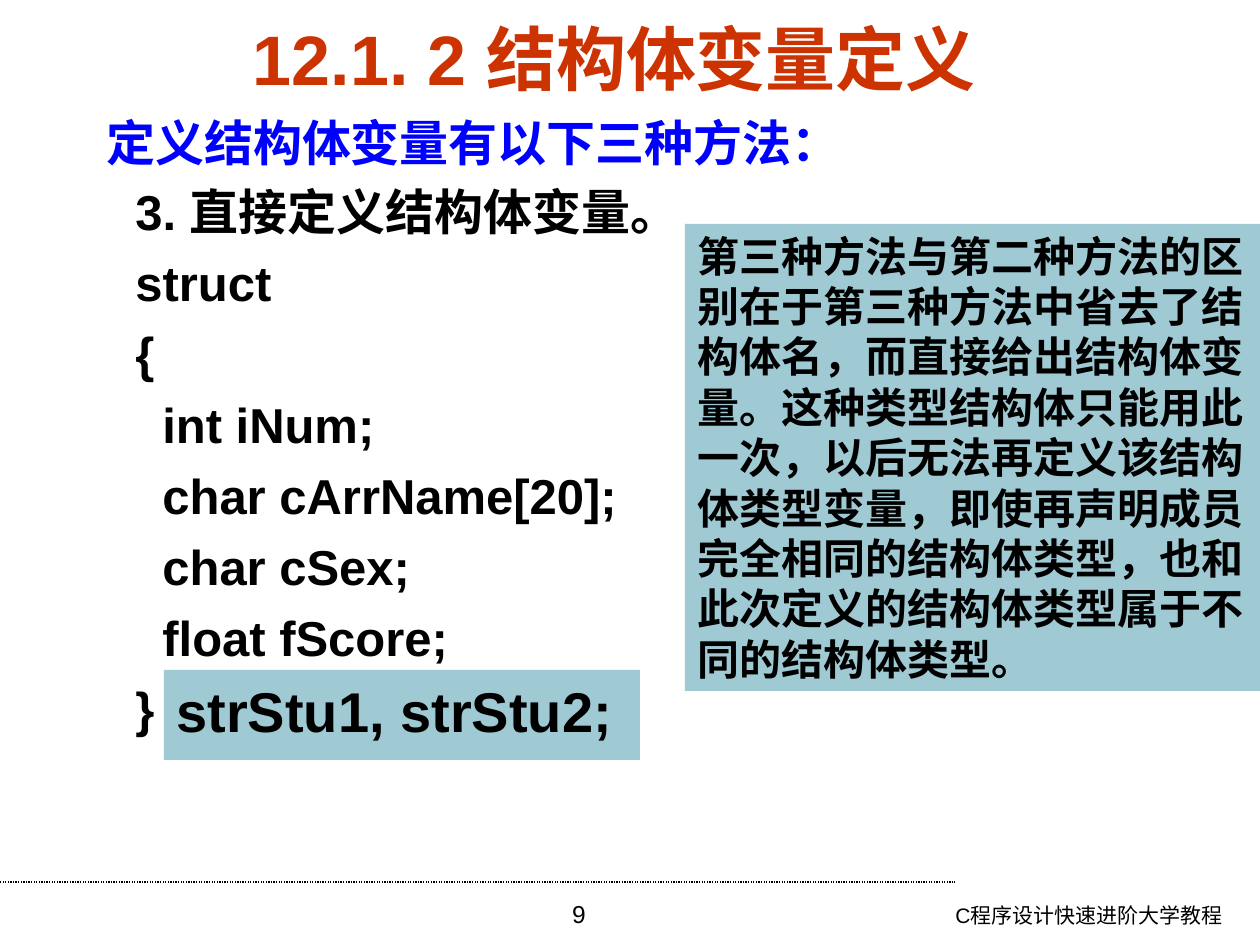
from lxml import etree
from pptx import Presentation
from pptx import util as u
from pptx.dml.color import RGBColor
from pptx.enum import dml, shapes, text
from pptx.oxml import ns

PX = 914400 // 126
FONT = "Arial"
LINE_RATIO = 1.2
HANGING = 84
MEMBER_INDENT = 27
COLORS = {"black": "000000", "title": "CC3300", "lead": "0000FF", "panel": "9FCAD3"}

CODE = [
    ("3. 直接定义结构体变量。", 0),
    ("struct", 0),
    ("{", 0),
    ("int iNum;", 1),
    ("char cArrName[20];", 1),
    ("char cSex;", 1),
    ("float fScore;", 1),
    ("}", 0),
]
NOTE = (
    "第三种方法与第二种方法的区别在于第三种方法中省去了结构体名，而直接给出结构体变量。"
    "这种类型结构体只能用此一次，以后无法再定义该结构体类型变量，"
    "即使再声明成员完全相同的结构体类型，也和此次定义的结构体类型属于不同的结构体类型。"
)
RULE = (0, 882, 955, 882)
BLOCKS = [
    {"box": (828, 896, 407, 49), "lines": [("C程序设计快速进阶大学教程", 0)],
     "size": 12, "bold": False, "align": "RIGHT"},
    {"box": (432, 893, 294, 52), "lines": [("9", 0)],
     "size": 14, "bold": False, "align": "CENTER"},
    {"box": (54, 26, 1140, 63), "lines": [("12.1. 2 结构体变量定义 ", 0)],
     "size": 40, "color": "title", "align": "CENTER", "anchor": "MIDDLE"},
    {"box": (123, 175, 1070, 576), "lines": CODE, "size": 28, "before": 7, "hanging": HANGING},
    {"box": (164, 670, 476, 90), "lines": [("strStu1, strStu2;", 0)],
     "size": 32, "fill": "panel", "hanging": HANGING},
    {"box": (94, 106, 833, 89), "lines": [("定义结构体变量有以下三种方法：", 0)],
     "size": 28, "color": "lead", "before": 7, "hanging": HANGING},
    {"box": (685, 224, 575, 467), "lines": [(NOTE, 0)], "size": 24, "fill": "panel"},
]


def rgb(name):
    return RGBColor.from_string(COLORS[name])


def add_rule(s):
    line = s.shapes.add_connector(shapes.MSO_CONNECTOR.STRAIGHT, *(v * PX for v in RULE))
    line.line.color.rgb = rgb("black")
    line.line.width = u.Pt(0.75)
    line.line.dash_style = dml.MSO_LINE.ROUND_DOT
    etree.SubElement(line._element.spPr, ns.qn("a:effectLst"))


def add_paragraph(p, words, level, block):
    formats = {
        "alignment": getattr(text.PP_ALIGN, block.get("align", "LEFT")),
        "space_before": u.Pt(block.get("before", 0)),
        "line_spacing": u.Pt(block["size"] * LINE_RATIO),
    }
    for name, value in formats.items():
        setattr(p, name, value)
    hanging = block.get("hanging", 0)
    pPr = p._p.get_or_add_pPr()
    pPr.set("marL", str((hanging + level * MEMBER_INDENT) * PX))
    pPr.set("indent", str(-hanging * PX))
    r = p.add_run()
    r.text = words
    font = {"name": FONT, "size": u.Pt(block["size"]), "bold": block.get("bold", True)}
    for name, value in font.items():
        setattr(r.font, name, value)
    r.font.color.rgb = rgb(block.get("color", "black"))
    etree.SubElement(r._r.get_or_add_rPr(), ns.qn("a:ea"), typeface=FONT)


def add_block(s, block):
    box = [v * PX for v in block["box"]]
    if "fill" in block:
        sp = s.shapes.add_shape(shapes.MSO_SHAPE.RECTANGLE, *box)
        sp.shadow.inherit = False
        sp.fill.solid()
        sp.fill.fore_color.rgb = rgb(block["fill"])
        sp.line.fill.background()
    else:
        sp = s.shapes.add_textbox(*box)
    tf = sp.text_frame
    tf.word_wrap = True
    tf.vertical_anchor = getattr(text.MSO_ANCHOR, block.get("anchor", "TOP"))
    for i, (words, level) in enumerate(block["lines"]):
        p = tf.add_paragraph() if i else tf.paragraphs[0]
        add_paragraph(p, words, level, block)


def main():
    prs = Presentation()
    prs.slide_width, prs.slide_height = u.Inches(10), u.Inches(7.5)
    s = prs.slides.add_slide(prs.slide_layouts[6])
    add_rule(s)
    for block in BLOCKS:
        add_block(s, block)
    prs.save("out.pptx")


if __name__ == "__main__":
    main()
